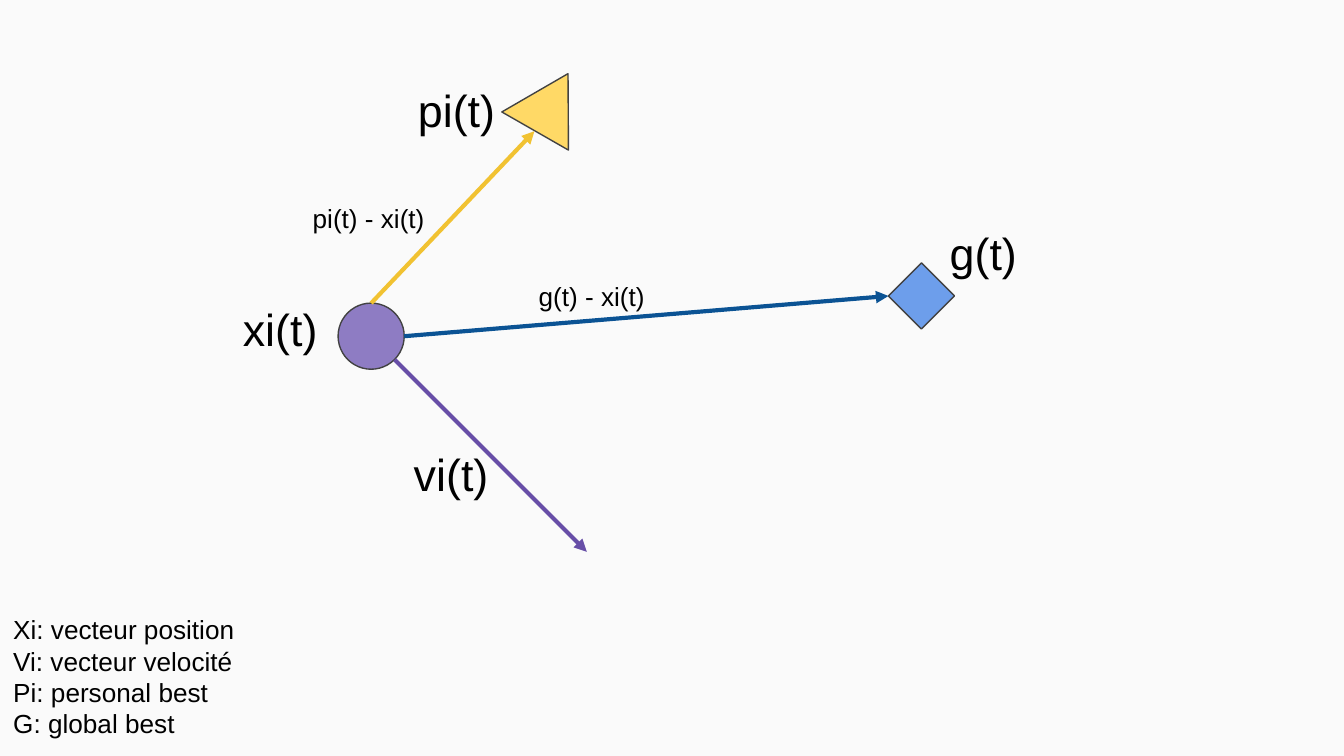
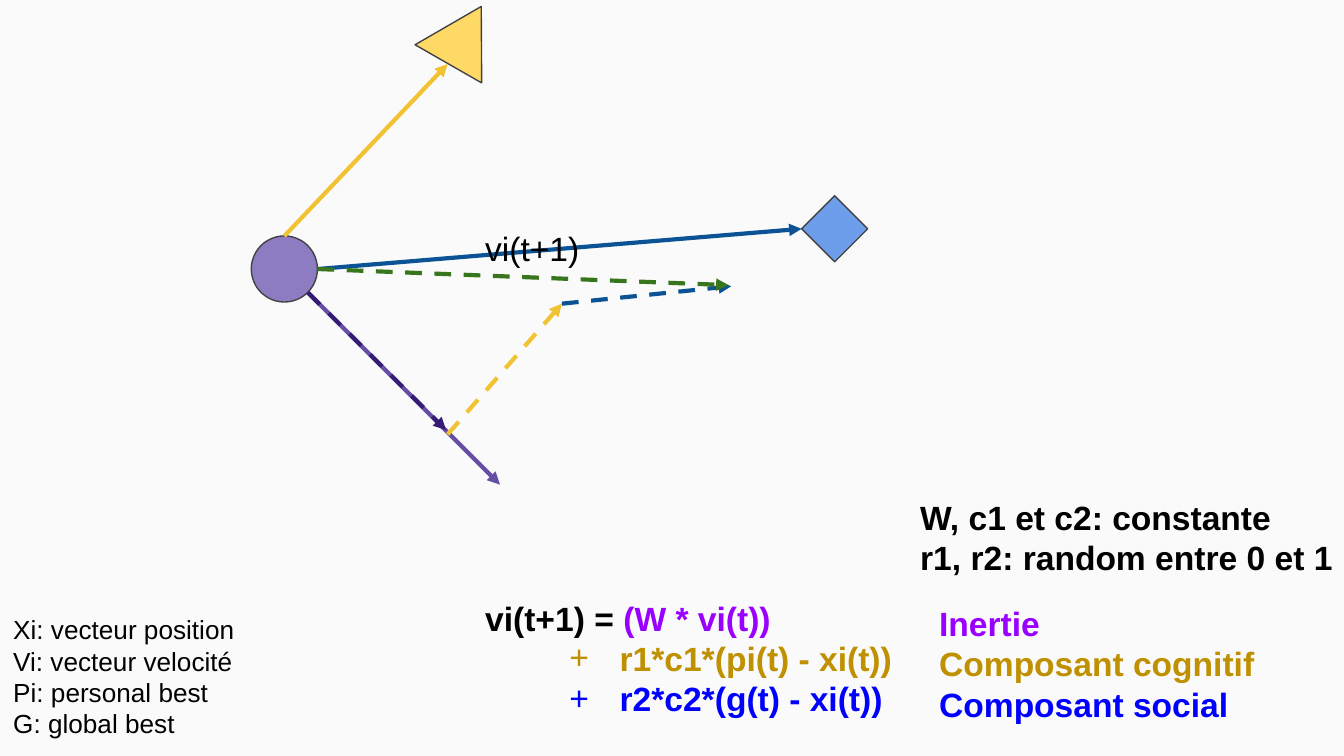
from dataclasses import dataclass
from typing import NamedTuple, Optional

from lxml.etree import SubElement
from pptx import Presentation
from pptx.dml.color import RGBColor
from pptx.enum.dml import MSO_LINE_DASH_STYLE as Dash
from pptx.enum.shapes import MSO_CONNECTOR as Link, MSO_SHAPE as Kind
from pptx.oxml.ns import qn
from pptx.util import Cm, Pt


# Theme
@dataclass(frozen=True)
class Theme:
    font: str = "Arial"
    background: str = "FAFAFA"
    ink: str = "000000"
    outline: str = "424242"
    position: str = "8E7CC3"
    velocity: str = "674EA7"
    inertia: str = "351C75"
    best: str = "FFD966"
    to_best: str = "F1C232"
    swarm: str = "6D9EEB"
    to_swarm: str = "0B5394"
    result: str = "38761D"
    inertia_text: str = "9900FF"
    cognitive_text: str = "BF9000"
    social_text: str = "0000FF"
    small: int = 14
    medium: int = 18
    large: int = 24
    outline_width: float = 0.75
    arrow_width: float = 2.25


THEME = Theme()


class Point(NamedTuple):
    x: float
    y: float

    def plus(self, other: "Point") -> "Point":
        return Point(self.x + other.x, self.y + other.y)


class Box(NamedTuple):
    left: float
    top: float
    width: float
    height: float


class Run(NamedTuple):
    text: str
    color: str = THEME.ink


class Line(NamedTuple):
    runs: tuple[Run, ...]
    bullet: Optional[str] = None


class Marker(NamedTuple):
    kind: Kind
    offset: Point
    width: float
    fill: str
    rotation: float = 0


class Arrow(NamedTuple):
    start: Point
    end: Point
    color: str
    dashed: bool = False


class Label(NamedTuple):
    text: str
    box: Box
    size: int


# Diagram geometry in cm, measured from the top left of the position circle
SIDE = 1.25
CIRCLE_TOP = Point(SIDE / 2, 0)
CIRCLE_RIGHT = Point(SIDE, SIDE / 2)
CIRCLE_CORNER = Point(1.07, 1.07)
SWARM_AT = Point(10.4, -0.76)

POSITION = Marker(Kind.OVAL, Point(0, 0), SIDE, THEME.position)
BEST = Marker(Kind.ISOSCELES_TRIANGLE, Point(3.31, -4.42), 1.45, THEME.best, 29.8)
SWARM = Marker(Kind.DIAMOND, SWARM_AT, SIDE, THEME.swarm)

VELOCITY = Arrow(CIRCLE_CORNER, Point(4.7, 4.7), THEME.velocity)
TO_BEST = Arrow(CIRCLE_TOP, Point(3.71, -3.25), THEME.to_best)
TO_SWARM = Arrow(CIRCLE_RIGHT, SWARM_AT.plus(Point(0, SIDE / 2)), THEME.to_swarm)

INERTIA_END = Point(3.71, 3.75)
COGNITIVE_END = Point(5.87, 1.28)
UPDATE_ARROWS = (
    Arrow(INERTIA_END, COGNITIVE_END, THEME.to_best, True),
    Arrow(CIRCLE_CORNER, Point(3.68, 3.67), THEME.inertia, True),
    Arrow(COGNITIVE_END, Point(9.07, 0.95), THEME.to_swarm, True),
    Arrow(CIRCLE_RIGHT, Point(9.02, 0.93), THEME.result, True),
)

# Wording
VECTOR_LABELS = (
    Label("pi(t)", Box(7.65, 1.32, 2.72, 1.25), THEME.large),
    Label("xi(t)", Box(4.34, 5.46, 2.1, 1.53), THEME.large),
    Label("g(t)", Box(17.7, 4.01, 2.1, 1.88), THEME.large),
    Label("vi(t)", Box(7.57, 8.2, 3.43, 1.88), THEME.large),
    Label("pi(t) - xi(t)", Box(5.66, 3.58, 2.72, 1.88), THEME.small),
    Label("g(t) - xi(t)", Box(9.93, 5.05, 2.72, 1.88), THEME.small),
)
LEGEND = ("Xi: vecteur position", "Vi: vecteur velocité",
          "Pi: personal best", "G: global best")
CONSTANTS = ("W, c1 et c2: constante", "r1, r2: random entre 0 et 1")
FORMULA = (
    Line((Run("vi(t+1) = "), Run("(W * vi(t))", THEME.inertia_text))),
    Line((Run("r1*c1*(pi(t) - xi(t))", THEME.cognitive_text),), "+"),
    Line((Run("r2*c2*(g(t) - xi(t))", THEME.social_text),), "+"),
)
COMPONENTS = (
    Line((Run("Inertie", THEME.inertia_text),)),
    Line((Run("Composant cognitif", THEME.cognitive_text),)),
    Line((Run("Composant social", THEME.social_text),)),
)


def rgb(color: str) -> RGBColor:
    return RGBColor.from_string(color)


def plain(*texts: str) -> tuple[Line, ...]:
    return tuple(Line((Run(text),)) for text in texts)


def add_bullet(paragraph, mark: str, color: str) -> None:
    props = paragraph._p.get_or_add_pPr()
    props.set("marL", str(Cm(2.54)))
    props.set("indent", str(-Cm(0.95)))
    tint = SubElement(props, qn("a:buClr"))
    SubElement(tint, qn("a:srgbClr"), val=color)
    SubElement(props, qn("a:buFont"), typeface=THEME.font)
    SubElement(props, qn("a:buChar"), char=mark)


def add_text(slide, lines: tuple[Line, ...], *, box: Box, size: int,
             bold: bool = False) -> None:
    frame = slide.shapes.add_textbox(*map(Cm, box)).text_frame
    frame.word_wrap = True
    frame.margin_left = frame.margin_right = Cm(0.25)
    frame.margin_top = frame.margin_bottom = Cm(0.25)
    for index, line in enumerate(lines):
        paragraph = frame.add_paragraph() if index else frame.paragraphs[0]
        if line.bullet:
            add_bullet(paragraph, line.bullet, line.runs[0].color)
        for part in line.runs:
            run = paragraph.add_run()
            run.text = part.text
            run.font.name = THEME.font
            run.font.size = Pt(size)
            run.font.bold = bold
            run.font.color.rgb = rgb(part.color)


def add_marker(slide, marker: Marker, origin: Point):
    place = origin.plus(marker.offset)
    shape = slide.shapes.add_shape(
        marker.kind, Cm(place.x), Cm(place.y), Cm(marker.width), Cm(SIDE))
    shape.rotation = marker.rotation
    shape.shadow.inherit = False
    shape.fill.solid()
    shape.fill.fore_color.rgb = rgb(marker.fill)
    shape.line.color.rgb = rgb(THEME.outline)
    shape.line.width = Pt(THEME.outline_width)
    return shape


def add_arrow(slide, arrow: Arrow, origin: Point):
    start, end = origin.plus(arrow.start), origin.plus(arrow.end)
    connector = slide.shapes.add_connector(
        Link.STRAIGHT, Cm(start.x), Cm(start.y), Cm(end.x), Cm(end.y))
    connector.line.color.rgb = rgb(arrow.color)
    connector.line.width = Pt(THEME.arrow_width)
    if arrow.dashed:
        connector.line.dash_style = Dash.DASH
    SubElement(connector.line._get_or_add_ln(), qn("a:tailEnd"), type="triangle")
    SubElement(connector._element.spPr, qn("a:effectLst"))
    return connector


def add_diagram_slide(prs, origin: Point):
    """Add a slide with the particle, its three vectors and the legend."""
    slide = prs.slides.add_slide(prs.slide_layouts[6])
    position = add_marker(slide, POSITION, origin)
    add_arrow(slide, VELOCITY, origin)
    add_marker(slide, BEST, origin)
    swarm = add_marker(slide, SWARM, origin)
    add_arrow(slide, TO_BEST, origin).begin_connect(position, 0)
    add_arrow(slide, TO_SWARM, origin).end_connect(swarm, 1)
    add_text(slide, plain(*LEGEND), box=Box(0, 11.35, 4.8, 3.94), size=THEME.small)
    return slide


def main() -> None:
    prs = Presentation()
    prs.slide_width, prs.slide_height = Cm(25.4), Cm(14.29)
    backdrop = prs.slide_master.background.fill
    backdrop.solid()
    backdrop.fore_color.rgb = rgb(THEME.background)

    # Slide 1: the vectors and their names
    vectors = add_diagram_slide(prs, Point(6.39, 5.73))
    for label in VECTOR_LABELS:
        add_text(vectors, plain(label.text), box=label.box, size=label.size)

    # Slide 2: the velocity update
    update = add_diagram_slide(prs, origin := Point(4.75, 4.46))
    for arrow in UPDATE_ARROWS:
        add_arrow(update, arrow, origin)
    add_text(update, plain("vi(t+1)"), box=Box(8.92, 4.06, 2.34, 1.25),
             size=THEME.medium)
    add_text(update, FORMULA, box=Box(8.92, 11.05, 8.2, 2.97),
             size=THEME.medium, bold=True)
    add_text(update, plain(*CONSTANTS), box=Box(17.14, 9.14, 9.37, 2.06),
             size=THEME.medium, bold=True)
    add_text(update, COMPONENTS, box=Box(17.5, 11.15, 7.01, 2.79),
             size=THEME.medium, bold=True)

    prs.save("out.pptx")


if __name__ == "__main__":
    main()
